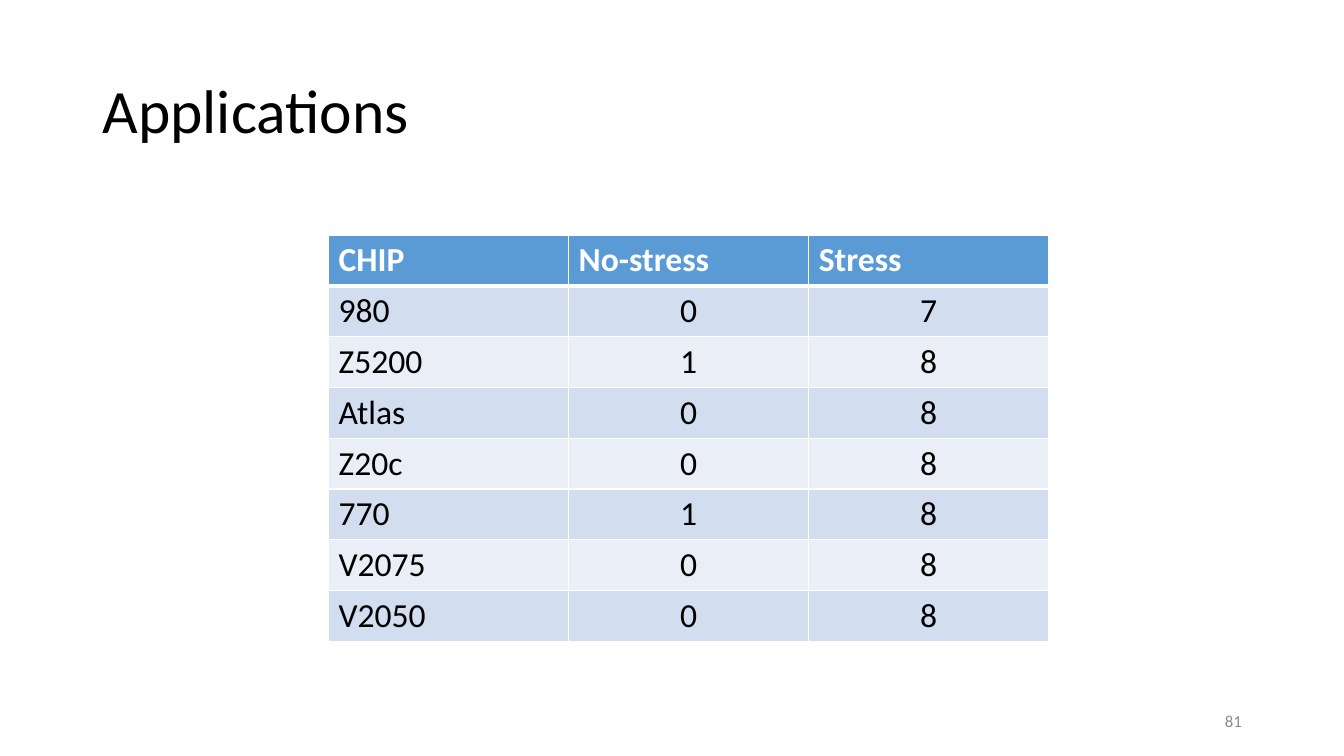
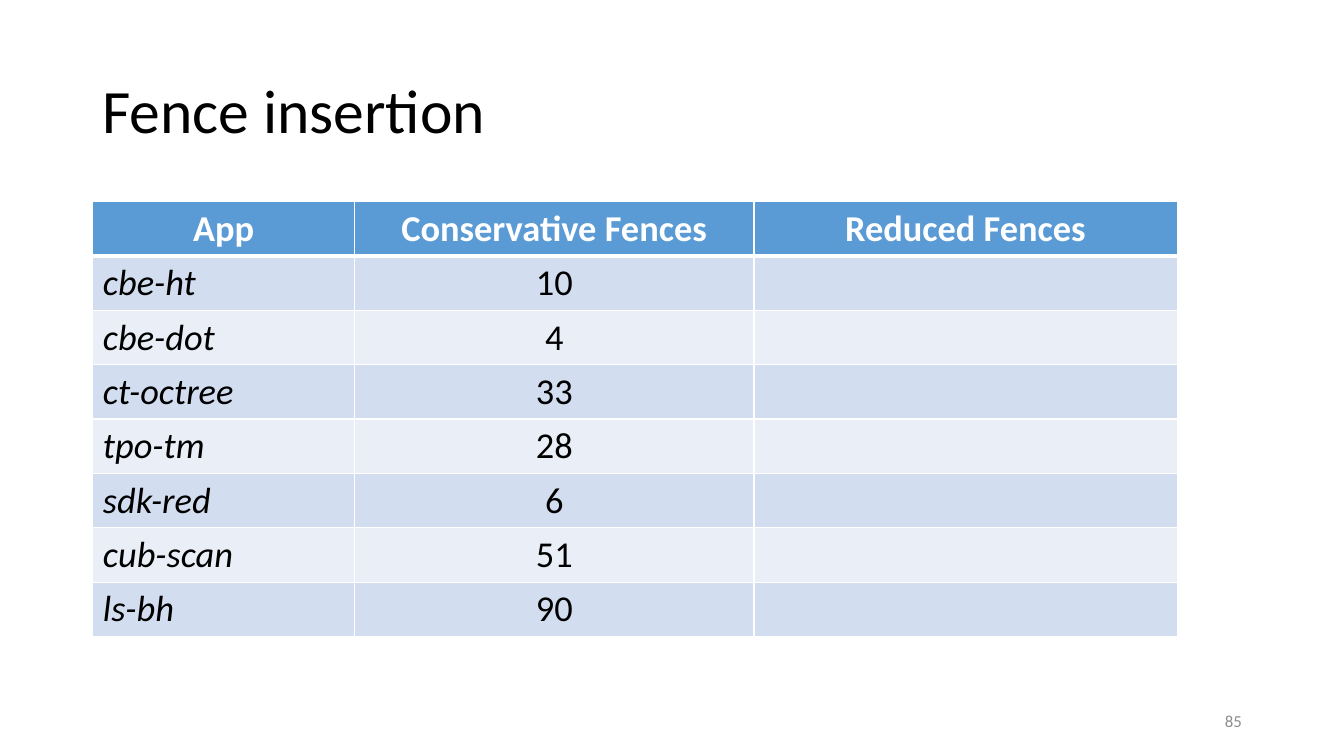
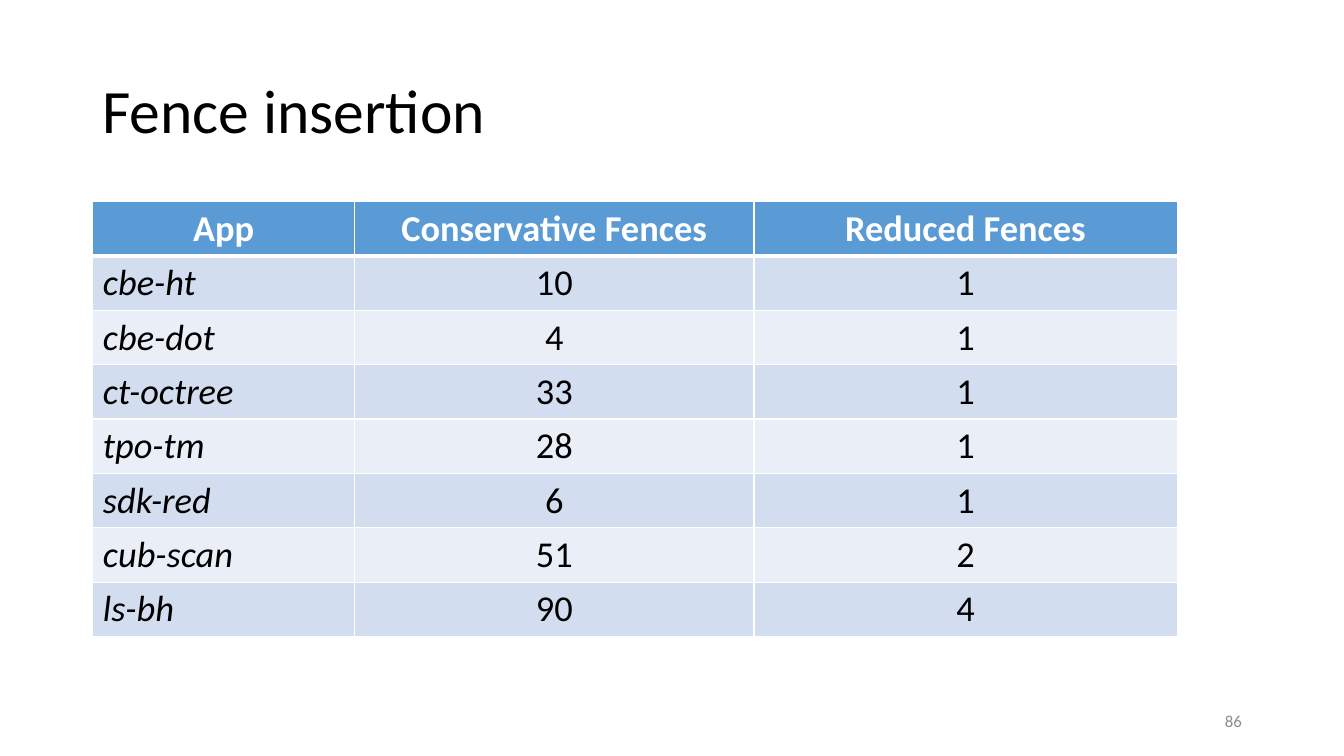
from lxml import etree
from pptx import Presentation
from pptx.dml.color import RGBColor
from pptx.enum.text import MSO_ANCHOR, MSO_AUTO_SIZE, PP_ALIGN
from pptx.oxml.ns import qn
from pptx.util import Cm, Pt

FONT = "Calibri"
BLACK = RGBColor(0x00, 0x00, 0x00)
WHITE = RGBColor(0xFF, 0xFF, 0xFF)
GREY = RGBColor(0x8C, 0x8C, 0x8C)
HEADER_BLUE = RGBColor(0x5B, 0x9B, 0xD5)
BAND_FILLS = (RGBColor(0xD2, 0xDE, 0xEF), RGBColor(0xEA, 0xEF, 0xF7))

CHIP_HEADER = ("CHIP", "No-stress", "Stress")
CHIP_ROWS = [
    ("980", 0, 7),
    ("Z5200", 1, 8),
    ("Atlas", 0, 8),
    ("Z20c", 0, 8),
    ("770", 1, 8),
    ("V2075", 0, 8),
    ("V2050", 0, 8),
]
FENCE_HEADER = ("App", "Conservative Fences", "Reduced Fences")
FENCE_ROWS = [
    ("cbe-ht", 10, 1),
    ("cbe-dot", 4, 1),
    ("ct-octree", 33, 1),
    ("tpo-tm", 28, 1),
    ("sdk-red", 6, 1),
    ("cub-scan", 51, 2),
    ("ls-bh", 90, 4),
]


def place(shape, left, top, width, height):
    shape.left, shape.top = Cm(left), Cm(top)
    shape.width, shape.height = Cm(width), Cm(height)


def write(frame, text, size, color, align=PP_ALIGN.LEFT, bold=False, italic=False):
    paragraph = frame.paragraphs[0]
    paragraph.alignment = align
    run = paragraph.add_run()
    run.text = str(text)
    font = run.font
    font.name, font.size, font.bold, font.italic = FONT, Pt(size), bold, italic
    font.color.rgb = color
    return paragraph


def add_titled_slide(prs, title, number):
    slide = prs.slides.add_slide(prs.slide_layouts[5])
    heading = slide.shapes.title
    place(heading, 2.33, 1.01, 29.21, 3.68)
    frame = heading.text_frame
    frame.auto_size = MSO_AUTO_SIZE.NONE
    frame.vertical_anchor = MSO_ANCHOR.MIDDLE
    write(frame, title, 44, BLACK).line_spacing = 0.9

    footer = slide.shapes.add_textbox(Cm(23.93), Cm(17.65), Cm(7.62), Cm(1.01))
    footer.text_frame.word_wrap = True
    footer.text_frame.vertical_anchor = MSO_ANCHOR.MIDDLE
    write(footer.text_frame, number, 12, GREY, PP_ALIGN.RIGHT)
    return slide


def set_borders(cell, top, bottom):
    properties = cell._tc.get_or_add_tcPr()
    widths = {"lnL": 1, "lnR": 1, "lnT": top, "lnB": bottom}
    for position, (side, width) in enumerate(widths.items()):
        line = etree.Element(qn(f"a:{side}"), w=str(Pt(width)))
        fill = etree.SubElement(line, qn("a:solidFill"))
        etree.SubElement(fill, qn("a:srgbClr"), val=str(WHITE))
        properties.insert(position, line)


def add_banded_table(slide, left, top, widths, row_height, size, header, rows,
                     header_align=PP_ALIGN.CENTER, italic_names=False):
    records = [header, *rows]
    table = slide.shapes.add_table(
        len(records), len(header), Cm(left), Cm(top),
        Cm(sum(widths)), Cm(row_height * len(records))).table
    for column, width in zip(table.columns, widths):
        column.width = Cm(width)
    for r, record in enumerate(records):
        is_header = r == 0
        for c, value in enumerate(record):
            cell = table.cell(r, c)
            cell.fill.solid()
            cell.fill.fore_color.rgb = HEADER_BLUE if is_header else BAND_FILLS[(r - 1) % 2]
            set_borders(cell, 3 if r == 1 else 1, 3 if is_header else 1)
            if value is None:
                continue
            if is_header:
                write(cell.text_frame, value, size, WHITE, header_align, bold=True)
            else:
                align = PP_ALIGN.LEFT if c == 0 else PP_ALIGN.CENTER
                write(cell.text_frame, value, size, BLACK, align,
                      italic=italic_names and c == 0)


def add_fence_slide(prs, number, rows):
    slide = add_titled_slide(prs, "Fence insertion", number)
    add_banded_table(slide, 2.34, 5.08, (6.6, 10.06, 10.67), 1.37, 26,
                     FENCE_HEADER, rows, italic_names=True)


def main():
    prs = Presentation()
    prs.slide_width, prs.slide_height = Cm(33.87), Cm(19.05)

    applications = add_titled_slide(prs, "Applications", 81)
    add_banded_table(applications, 8.28, 5.92, (6.05,) * 3, 1.28, 24,
                     CHIP_HEADER, CHIP_ROWS, header_align=PP_ALIGN.LEFT)

    add_fence_slide(prs, 85, [(app, fences, None) for app, fences, _ in FENCE_ROWS])
    add_fence_slide(prs, 86, FENCE_ROWS)
    prs.save("out.pptx")


main()
